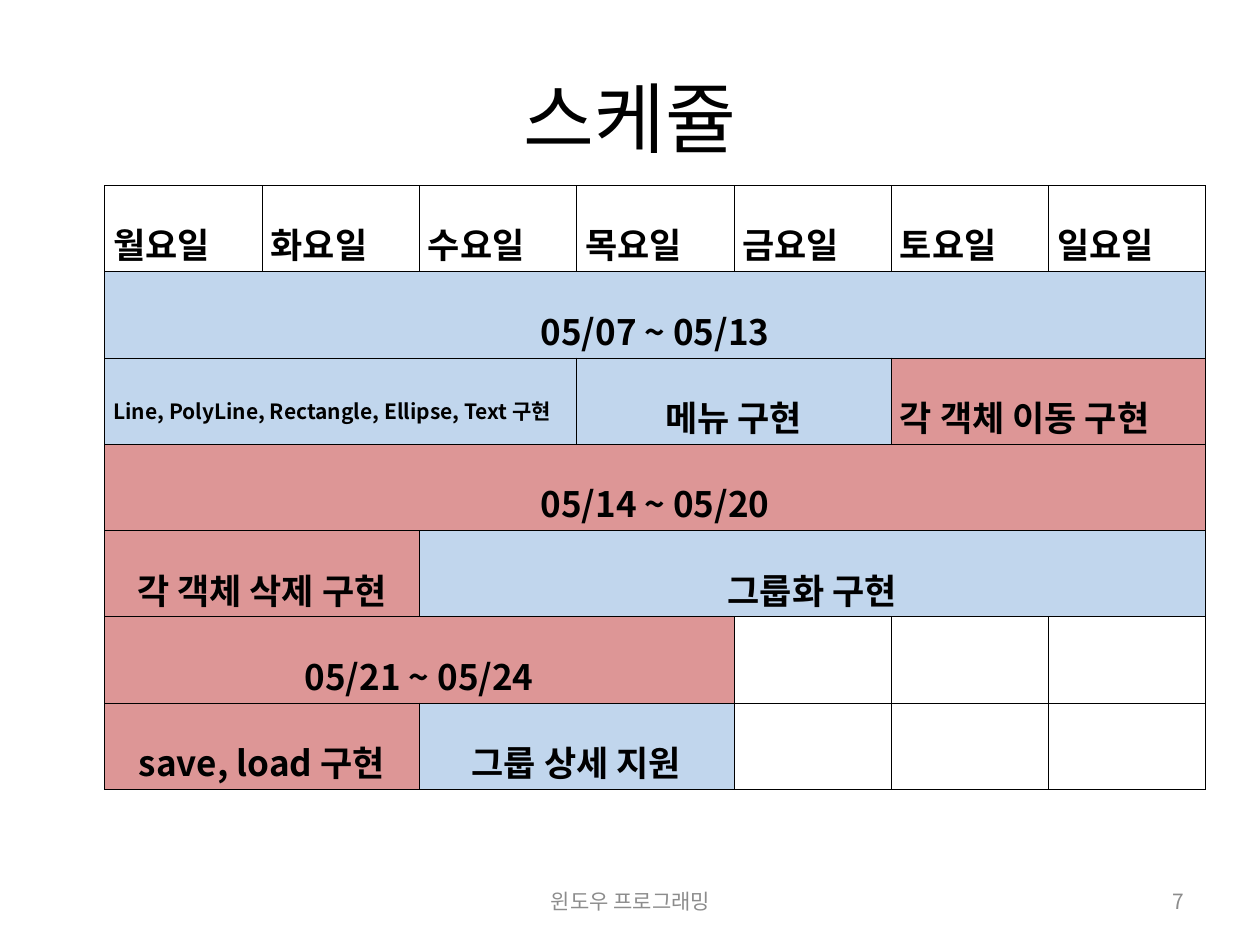
from lxml import etree
from pptx import Presentation
from pptx.dml.color import RGBColor
from pptx.enum import text as t
from pptx.oxml import ns
from pptx.util import Inches, Pt

FONT = "Noto Sans CJK KR"
BLACK = RGBColor(0x00, 0x00, 0x00)
WHITE = RGBColor(0xFF, 0xFF, 0xFF)
GRAY = RGBColor(0x8C, 0x8C, 0x8C)
BLUE = RGBColor(0xC1, 0xD6, 0xED)
RED = RGBColor(0xDD, 0x96, 0x96)
LEFT, MID = t.PP_ALIGN.JUSTIFY, t.PP_ALIGN.CENTER
RIGHT = t.PP_ALIGN.RIGHT

DAYS = ["월요일", "화요일", "수요일", "목요일", "금요일", "토요일", "일요일"]
FREE = [("", 1, WHITE, LEFT, 20)] * 3
# Each entry: text, columns spanned, fill, alignment, text size
ROWS = [
    [(day, 1, WHITE, LEFT, 20) for day in DAYS],
    [("05/07 ~ 05/13", 7, BLUE, MID, 20)],
    [("Line, PolyLine, Rectangle, Ellipse, Text 구현", 3, BLUE, LEFT, 12),
     ("메뉴 구현", 2, BLUE, MID, 20),
     ("각 객체 이동 구현", 2, RED, LEFT, 20)],
    [("05/14 ~ 05/20", 7, RED, MID, 20)],
    [("각 객체 삭제 구현", 2, RED, MID, 20),
     ("그룹화 구현", 5, BLUE, MID, 20)],
    [("05/21 ~ 05/24", 4, RED, MID, 20)] + FREE,
    [("save, load 구현", 2, RED, MID, 20),
     ("그룹 상세 지원", 2, BLUE, MID, 20)] + FREE,
]


def write(frame, words, size=20, color=BLACK, bold=False, align=MID, space=None):
    para = frame.paragraphs[0]
    para.alignment = align
    para.line_spacing = space
    run = para.add_run()
    run.text = words
    font = run.font
    font.name, font.size, font.bold = FONT, Pt(size), bold
    font.color.rgb = color
    # Korean letters take the East Asian font
    latin = font._element.find(ns.qn("a:latin"))
    east = etree.Element(ns.qn("a:ea"), typeface=FONT)
    latin.addnext(east)


def label(slide, box, words, **style):
    frame = slide.shapes.add_textbox(*map(Inches, box)).text_frame
    frame.word_wrap = True
    frame.vertical_anchor = t.MSO_ANCHOR.MIDDLE
    write(frame, words, **style)


def border(cell):
    props = cell._tc.get_or_add_tcPr()
    for spot, side in enumerate(("lnL", "lnR", "lnT", "lnB")):
        line = etree.Element(ns.qn("a:" + side), w=str(Pt(0.28)))
        fill = etree.SubElement(line, ns.qn("a:solidFill"))
        etree.SubElement(fill, ns.qn("a:srgbClr"), val=str(BLACK))
        props.insert(spot, line)


def plan(slide, box):
    count = len(DAYS)
    frame = slide.shapes.add_table(len(ROWS), count, *map(Inches, box))
    table = frame.table
    table.first_row = table.horz_banding = False
    for col in table.columns:
        col.width = Inches(box[2] / count)
    for r, row in enumerate(ROWS):
        table.rows[r].height = Inches(box[3] / len(ROWS))
        c = 0
        for words, span, fill, align, size in row:
            for i in range(c, c + span):
                part = table.cell(r, i)
                part.fill.solid()
                part.fill.fore_color.rgb = fill
                border(part)
            cell = table.cell(r, c)
            if span > 1:
                cell.merge(table.cell(r, c + span - 1))
            cell.vertical_anchor = t.MSO_ANCHOR.MIDDLE
            cell.margin_left = cell.margin_right = Inches(0.07)
            cell.margin_top = cell.margin_bottom = Inches(0.02)
            if words:
                write(cell.text_frame, words, size=size, bold=True,
                      align=align, space=1.6)
            c += span


def footer(slide, box):
    left, top, width, height = box
    label(slide, (left + 2.92, top, 3.17, height), "윈도우 프로그래밍",
          size=12, color=GRAY)
    label(slide, (left + width - 2.33, top, 2.33, height), "7",
          size=12, color=GRAY, align=RIGHT)


def main():
    deck = Presentation()
    deck.slide_width, deck.slide_height = Inches(10), Inches(7.5)
    slide = deck.slides.add_slide(deck.slide_layouts[6])
    # Schedule grid, title, footer
    plan(slide, (0.83, 1.47, 8.74, 4.78))
    label(slide, (0.5, 0.3, 9, 1.25), "스케쥴", size=44)
    footer(slide, (0.5, 6.95, 9, 0.4))
    deck.save("out.pptx")


if __name__ == "__main__":
    main()
